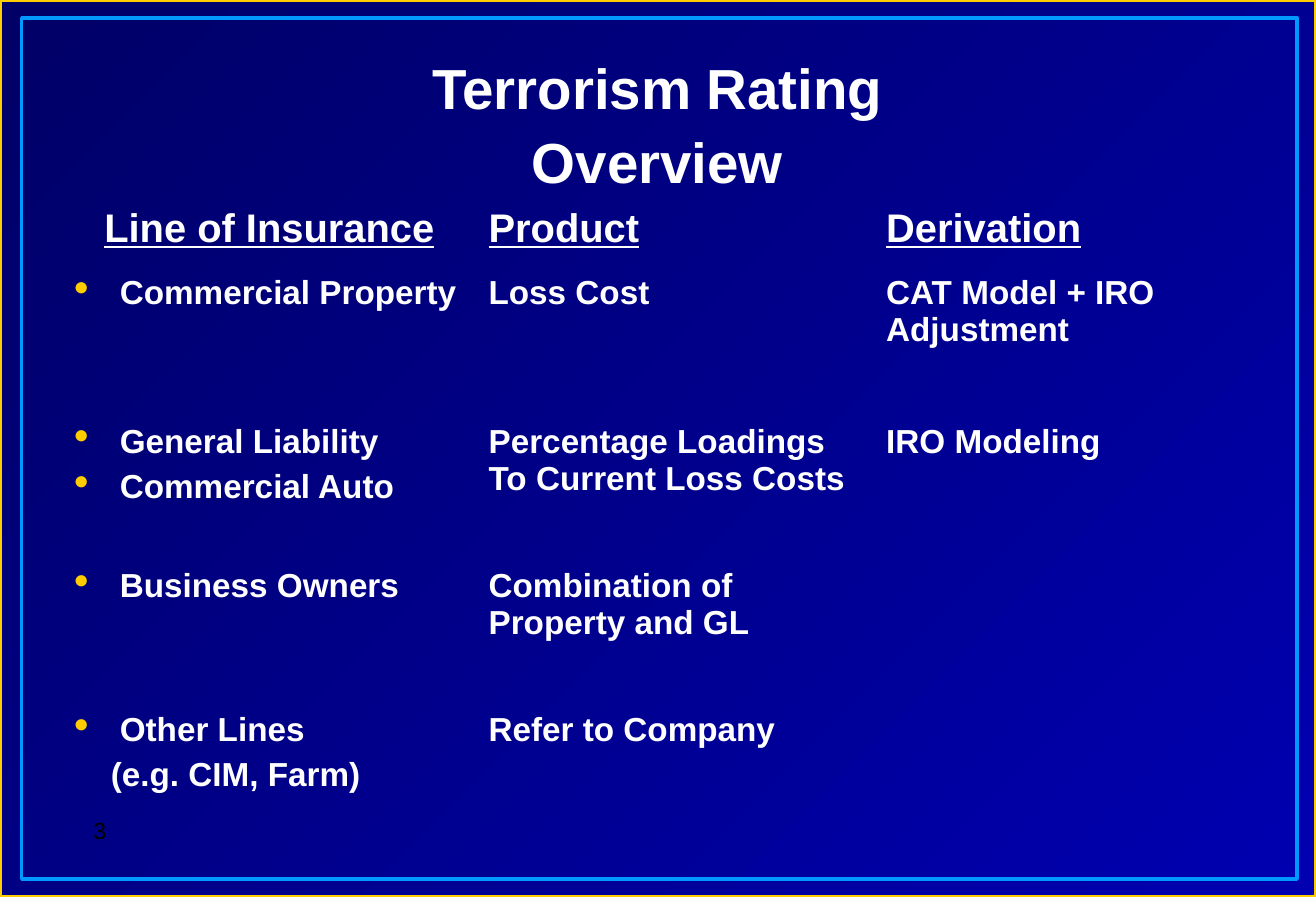
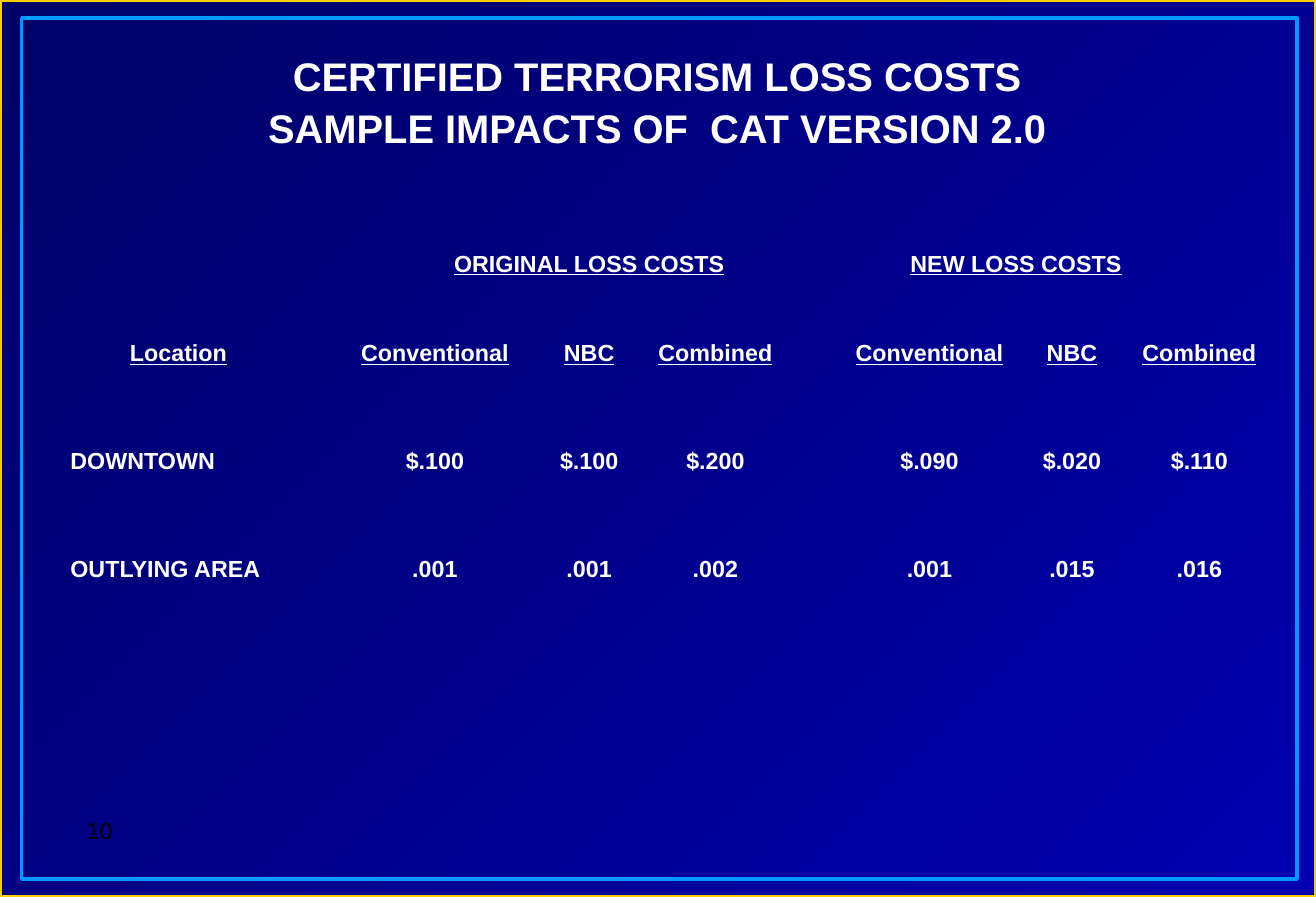
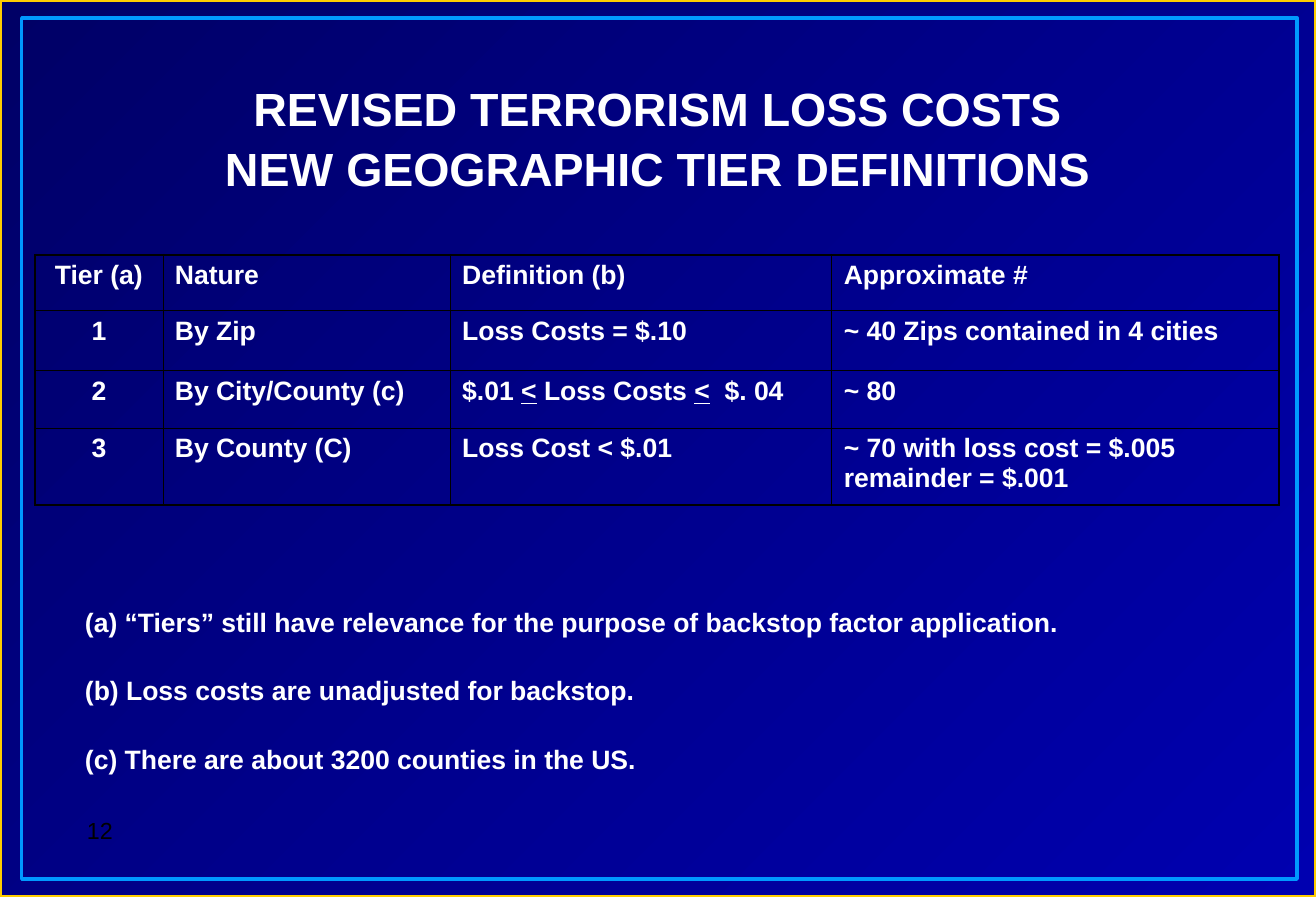
from pptx import Presentation
from pptx import util as u
from pptx.dml.color import RGBColor
from pptx.enum import shapes, text
from pptx.oxml import parse_xml
from pptx.oxml.ns import nsdecls, qn

HUE = {"dark": "000066", "deep": "0000B0", "gold": "FFCC00",
       "sky": "0099FF", "white": "FFFFFF", "black": "000000"}
FONT = "Arial"
WIDE, HIGH = 27.94, 19.05
PLAIN = "{2D5ABB26-0587-4C30-8999-92F81FD0307C}"  # table style without grid
LEFT, MID = text.PP_ALIGN.LEFT, text.PP_ALIGN.CENTER


def rgb(name):
    return RGBColor.from_string(HUE[name])


def style(para, size, hue="white", bold=True, line=False, align=LEFT):
    font = para.font
    font.name, font.size, font.bold = FONT, u.Pt(size), bold
    font.color.rgb = rgb(hue)
    if line:
        font.underline = True
    para.alignment = align


# Shared look
def frame(slide, box, hue):
    rect = slide.shapes.add_shape(shapes.MSO_SHAPE.RECTANGLE, *map(u.Cm, box))
    rect.shadow.inherit = False
    rect.fill.background()
    rect.line.color.rgb = rgb(hue)
    rect.line.width = u.Pt(2)
    return rect


def dress(master, slide):
    """Give the master its gradient and its two frames."""
    fill = master.background.fill
    fill.gradient()
    fill.gradient_angle = 315
    for stop, hue in zip(fill.gradient_stops, ("dark", "deep")):
        stop.color.rgb = rgb(hue)
    tree = master.shapes.element
    outer = frame(slide, (0, 0, WIDE, HIGH), "gold")
    inner = frame(slide, (0.46, 0.38, 27.08, 18.29), "sky")
    for spot, rect in enumerate((outer, inner), 2):
        tree.insert(spot, rect.element)


def label(slide, box, words, size, **look):
    frm = slide.shapes.add_textbox(*map(u.Cm, box)).text_frame
    frm.word_wrap = True
    frm.text = words
    style(frm.paragraphs[0], size, **look)


def head(slide, words, size, number, top=0.89, high=2.74):
    """Title and page number."""
    title = slide.shapes.title
    title.left, title.top, title.width, title.height = map(
        u.Cm, (2.08, top, 23.75, high))
    frm = title.text_frame
    frm.text = words
    frm.vertical_anchor = text.MSO_ANCHOR.TOP
    frm.auto_size = text.MSO_AUTO_SIZE.NONE
    frm.margin_top = u.Cm(0.13)
    para = frm.paragraphs[0]
    style(para, size, align=MID)
    para.line_spacing = 1.08
    label(slide, (0.85, 17.22, 2.54, 1.32), number, 14,
          hue="black", bold=False, align=MID)


# Tables
def bullet(para):
    props = para._p.get_or_add_pPr()
    props.set("marL", str(u.Cm(0.97)))
    props.set("indent", str(-u.Cm(0.97)))
    for xml in (f'<a:buClr {nsdecls("a")}><a:srgbClr val="{HUE["gold"]}"/></a:buClr>',
                f'<a:buSzPct {nsdecls("a")} val="130000"/>',
                f'<a:buChar {nsdecls("a")} char="•"/>'):
        props.insert_element_before(parse_xml(xml), "a:tabLst", "a:defRPr")


def write(cell, words, size, gap, **look):
    """One paragraph a line; "• " makes a bullet, "> " an indent, _x_ an underline."""
    frm = cell.text_frame
    for row, part in enumerate(words.split("\n")):
        para = frm.add_paragraph() if row else frm.paragraphs[0]
        style(para, size, **look)
        para.space_before = u.Pt(gap)
        if part.startswith("• "):
            bullet(para)
        elif part.startswith("> "):
            para._p.get_or_add_pPr().set("marL", str(u.Cm(0.78)))
        for turn, bit in enumerate(part.removeprefix("• ").removeprefix("> ").split("_")):
            run = para.add_run()
            run.text = bit
            if turn % 2:
                run.font.underline = True


def grid(slide, spot, cols, rows, data, size, gap, look=lambda row, col: {}):
    box = (*spot, sum(cols), sum(rows))
    table = slide.shapes.add_table(len(rows), len(cols), *map(u.Cm, box)).table
    table.first_row = table.horz_banding = False
    table._tbl.tblPr.find(qn("a:tableStyleId")).text = PLAIN
    for part, wide in zip(table.columns, cols):
        part.width = u.Cm(wide)
    for part, high in zip(table.rows, rows):
        part.height = u.Cm(high)
    for row, line in enumerate(data):
        for col, words in enumerate(line):
            cell = table.cell(row, col)
            cell.fill.background()
            if words:
                write(cell, words, size, gap, **look(row, col))
    return table


def rule(table):
    """Black cell borders, heavier round the outside."""
    rows, cols = len(table.rows), len(table.columns)
    for row in range(rows):
        for col in range(cols):
            props = table.cell(row, col)._tc.get_or_add_tcPr()
            edges = {"L": col == 0, "R": col == cols - 1,
                     "T": row == 0, "B": row == rows - 1}
            for spot, (side, outer) in enumerate(edges.items()):
                wide = u.Pt(1.08 if outer else 0.45)
                props.insert(spot, parse_xml(
                    f'<a:ln{side} {nsdecls("a")} w="{wide}"><a:solidFill>'
                    f'<a:srgbClr val="{HUE["black"]}"/></a:solidFill></a:ln{side}>'))


# Slides
def rating(slide):
    head(slide, "Terrorism Rating\vOverview", 34, "3")
    data = [
        ("Line of Insurance", "Product", "Derivation"),
        ("• Commercial Property", "Loss Cost", "CAT Model + IRO Adjustment"),
        ("• General Liability\n• Commercial Auto",
         "Percentage Loadings To Current Loss Costs", "IRO Modeling"),
        ("• Business Owners", "Combination of Property and GL", ""),
        ("• Other Lines\n> (e.g. CIM, Farm)", "Refer to Company", ""),
    ]
    table = grid(slide, (1.32, 4.01), (8.8, 8.44, 8.44),
                 (1.7, 3.15, 3.07, 3.05, 3.33), data, 20, 5)
    for col, cell in enumerate(table.rows[0].cells):
        cell.vertical_anchor = text.MSO_ANCHOR.MIDDLE
        style(cell.text_frame.paragraphs[0], 24, line=True,
              align=LEFT if col else MID)


def impact(slide):
    head(slide, "CERTIFIED TERRORISM LOSS COSTS\v"
         "SAMPLE IMPACTS OF  CAT VERSION 2.0", 24, "10")
    for left, words in ((9.39, "ORIGINAL LOSS COSTS"), (19.08, "NEW LOSS COSTS")):
        label(slide, (left, 5.16, 7, 1.04), words, 14, line=True)
    kinds = ("Conventional", "NBC", "Combined")
    lines = [
        ("Location", kinds, kinds),
        ("DOWNTOWN", ("$.100", "$.100", "$.200"), ("$.090", "$.020", "$.110")),
        ("OUTLYING AREA", (".001", ".001", ".002"), (".001", ".015", ".016")),
        ("", ("",) * 3, ("",) * 3),
    ]
    data = [(place, "", old[0], "", *old[1:], "", *new) for place, old, new in lines]
    table = grid(slide, (1.24, 7.11),
                 (5.1, 0.61, 1.09, 3.48, 1.98, 3.38, 0.86, 3.99, 2.06, 3.35),
                 (2.29, 2.29, 1.17, 0.99), data, 14, 3.5,
                 lambda row, col: {"line": row == 0,
                                   "align": MID if row == 0 or col else LEFT})
    for row in range(3):
        table.cell(row, 2).merge(table.cell(row, 3))
    table.cell(3, 0).merge(table.cell(3, 1))


def tiers(slide):
    head(slide, "REVISED TERRORISM LOSS COSTS\vNEW GEOGRAPHIC TIER DEFINITIONS",
         28, "12", 1.47, 2.13)
    data = [
        ("Tier (a)", "Nature", "Definition (b)", "Approximate #"),
        ("1", "By Zip", "Loss Costs = $.10", "~ 40 Zips contained in 4 cities"),
        ("2", "By City/County (c)", "$.01 _<_ Loss Costs _<_  $. 04", "~ 80"),
        ("3", "By County (C)", "Loss Cost < $.01",
         "~ 70 with loss cost = $.005 remainder = $.001"),
    ]
    rule(grid(slide, (0.74, 5.41), (2.72, 6.1, 8.1, 9.5), (1.19, 1.27, 1.22, 1.63),
              data, 16, 4, lambda row, col: {"align": LEFT if col else MID}))
    notes = [
        ("(a) “Tiers” still have relevance for the purpose of backstop factor application.",),
        ("(b) Loss costs are unadjusted for backstop.",),
        ("(c) There are about 3200 counties in the US.",),
    ]
    grid(slide, (1.55, 12.8), (25.35,), (1.45, 1.45, 1.02), notes, 16, 4)


def main():
    prs = Presentation()
    prs.slide_width, prs.slide_height = u.Cm(WIDE), u.Cm(HIGH)
    for build in (rating, impact, tiers):
        slide = prs.slides.add_slide(prs.slide_layouts[5])
        if build is rating:
            dress(prs.slide_master, slide)
        build(slide)
    prs.save("out.pptx")


if __name__ == "__main__":
    main()
